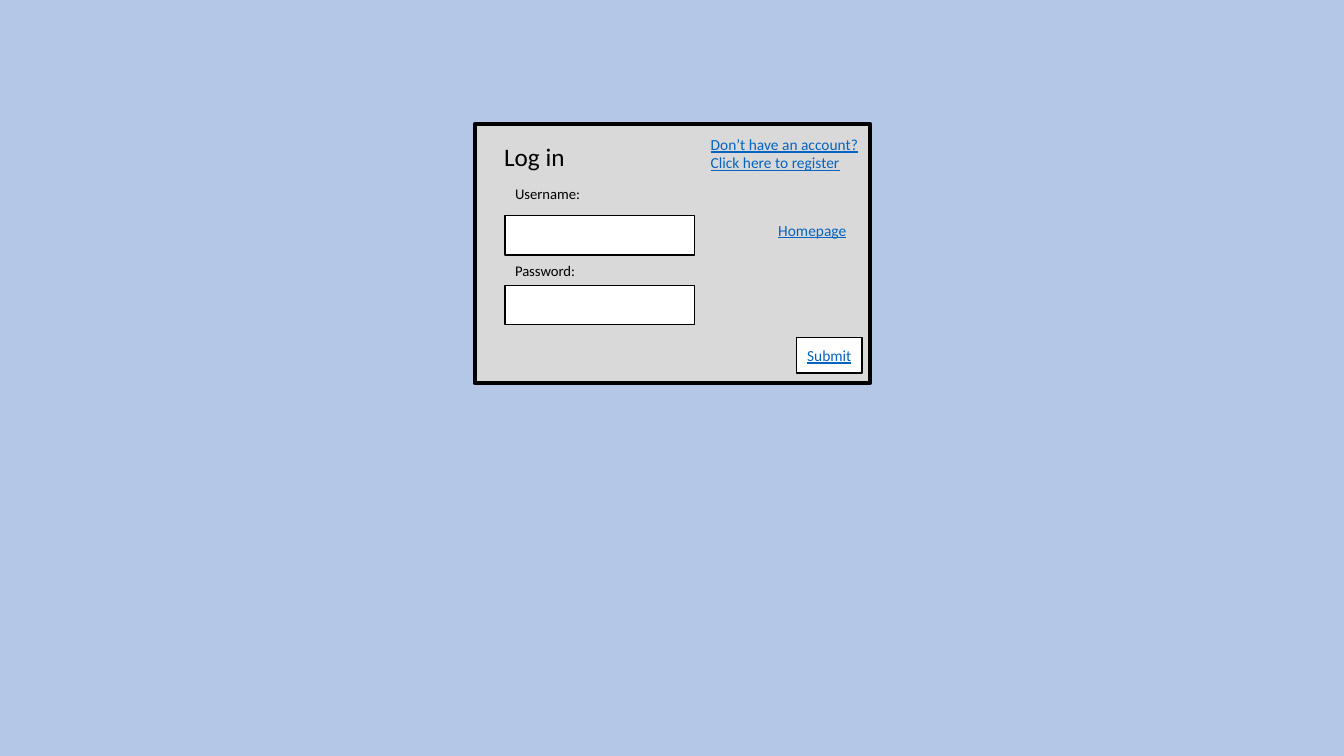
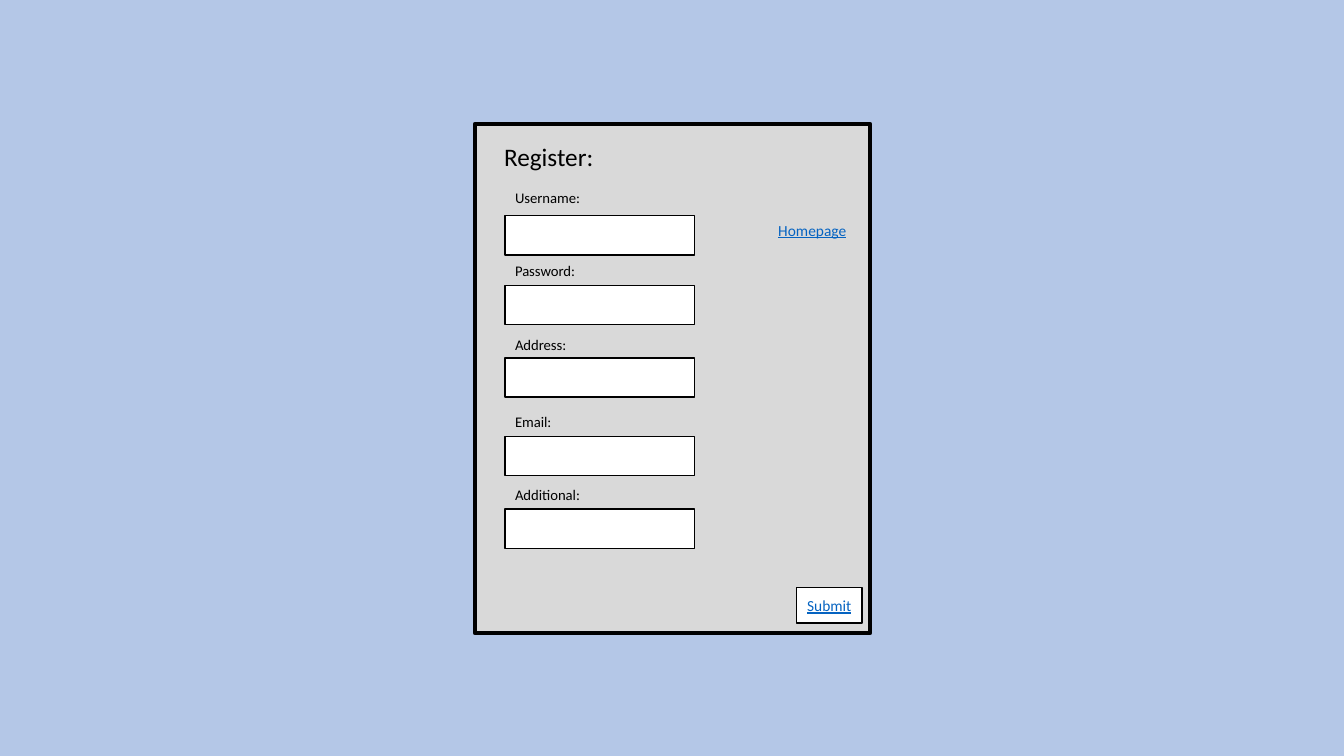
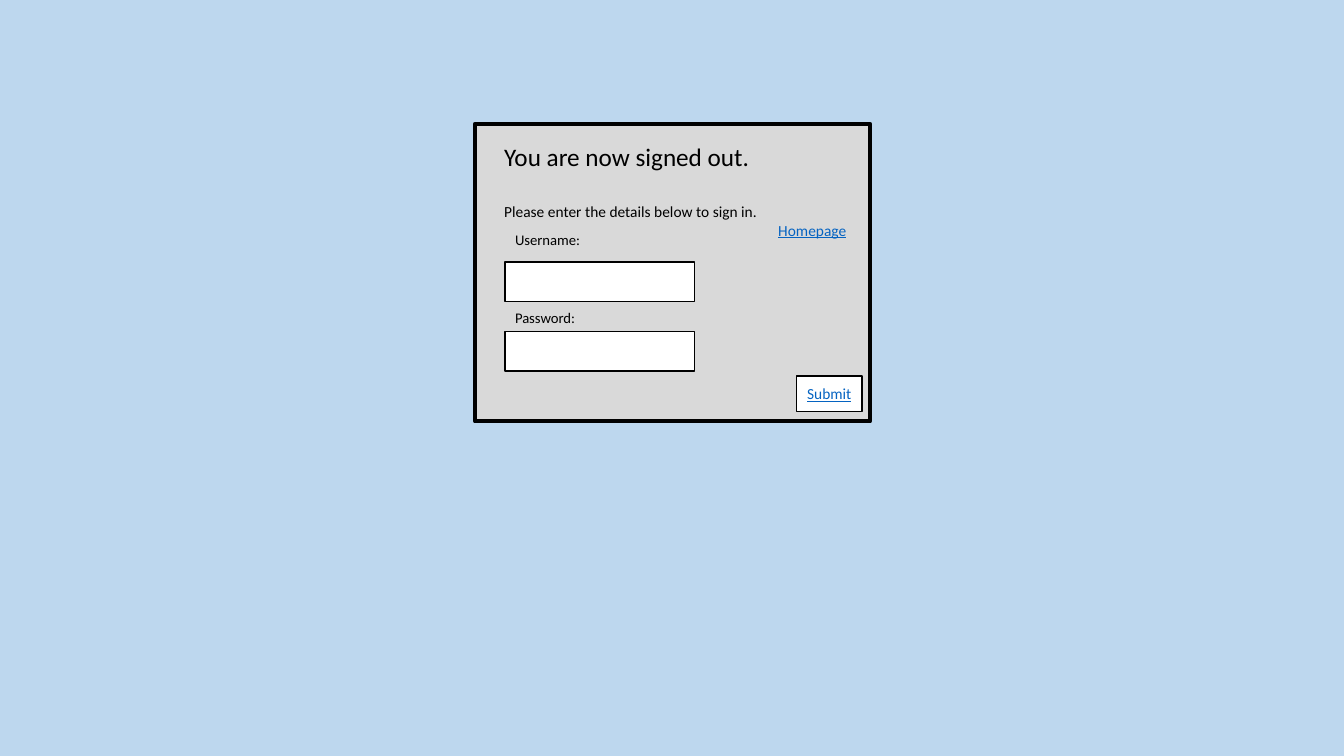
"""Build three account screens: log in, register and signed out."""
import dataclasses

import pptx
import pptx.dml.color
import pptx.enum.shapes
import pptx.enum.text
import pptx.util

Inches = pptx.util.Inches
Pt = pptx.util.Pt
Align = pptx.enum.text.PP_ALIGN
Anchor = pptx.enum.text.MSO_ANCHOR
Fit = pptx.enum.text.MSO_AUTO_SIZE


@dataclasses.dataclass(frozen=True)
class Theme:
    panel: str = "D9D9D9"
    box: str = "FFFFFF"
    ink: str = "000000"
    link: str = "0563C1"
    font: str = "Calibri"
    heading: float = 18
    body: float = 11
    label: float = 10.5


theme = Theme()


def add_box(shapes, area, fill, outline):
    box = shapes.add_shape(
        pptx.enum.shapes.MSO_SHAPE.RECTANGLE, *map(Inches, area))
    box.shadow.inherit = False
    box.fill.solid()
    box.fill.fore_color.rgb = pptx.dml.color.RGBColor.from_string(fill)
    box.line.color.rgb = pptx.dml.color.RGBColor.from_string(theme.ink)
    box.line.width = Pt(outline)
    return box


def write(holder, lines, size, color=theme.ink, underline=False,
          align=Align.LEFT, anchor=Anchor.TOP, fit=Fit.SHAPE_TO_FIT_TEXT):
    frame = holder.text_frame
    frame.text = "\n".join(lines)
    frame_format = {
        "word_wrap": False, "auto_size": fit, "vertical_anchor": anchor,
        "margin_left": Inches(0.1), "margin_right": Inches(0.1),
        "margin_top": Inches(0.05), "margin_bottom": Inches(0.05),
    }
    for name, value in frame_format.items():
        setattr(frame, name, value)
    run_format = {"name": theme.font, "size": Pt(size), "underline": underline}
    for paragraph in frame.paragraphs:
        paragraph.alignment = align
        for run in paragraph.runs:
            for name, value in run_format.items():
                setattr(run.font, name, value)
            run.font.color.rgb = pptx.dml.color.RGBColor.from_string(color)
    return frame


link_style = {"size": theme.body, "color": theme.link, "underline": True}
label_widths = {"Username:": 0.86, "Password:": 0.81, "Address:": 0.72,
                "Email:": 0.57, "Additional:": 0.85}
panel_left, panel_top, panel_width = 4.71, 1.23, 3.92
field_left = 5.01

screens = [
    {
        "heading": ["Log in"], "heading_size": (0.81, 0.4),
        "background": "B4C7E7", "panel_height": 2.57,
        "register_link": ["Don\u2019t have an account?",
                          "Click here to register"],
        "fields": [("Username:", 1.78, 2.14), ("Password:", 2.55, 2.83)],
    },
    {
        "heading": ["Register:"], "heading_size": (1.1, 0.4),
        "background": "B4C7E7", "panel_height": 5.05,
        "fields": [("Username:", 1.82, 2.14), ("Password:", 2.55, 2.83),
                   ("Address:", 3.28, 3.55), ("Email:", 4.05, 4.33),
                   ("Additional:", 4.77, 5.05)],
    },
    {
        "heading": ["You are now signed out.",
                    "Please enter the details below to sign in."],
        "heading_size": (2.73, 0.89),
        "background": "BDD7EE", "panel_height": 2.95,
        "fields": [("Username:", 2.24, 2.6), ("Password:", 3.01, 3.29)],
    },
]

deck = pptx.Presentation()
deck.slide_width = Inches(13.33)
deck.slide_height = Inches(7.5)

for screen in screens:
    slide = deck.slides.add_slide(deck.slide_layouts[5])
    shapes = slide.shapes
    slide.background.fill.solid()
    slide.background.fill.fore_color.rgb = (
        pptx.dml.color.RGBColor.from_string(screen["background"]))

    heading = shapes.title
    panel = add_box(
        shapes, (panel_left, panel_top, panel_width, screen["panel_height"]),
        theme.panel, 3)
    heading.element.addprevious(panel.element)

    width, height = screen["heading_size"]
    place = {"left": 4.9, "top": 1.35, "width": width, "height": height}
    for name, value in place.items():
        setattr(heading, name, Inches(value))
    heading_frame = write(heading, screen["heading"], theme.heading)
    for instruction in heading_frame.paragraphs[1:]:
        instruction.space_before = Pt(22)
        for run in instruction.runs:
            run.font.size = Pt(theme.body)

    for label, label_top, entry_top in screen["fields"]:
        add_box(shapes, (field_left, entry_top, 1.88, 0.39), theme.box, 1)
        caption = shapes.add_textbox(
            *map(Inches, (field_left, label_top, label_widths[label], 0.28)))
        write(caption, [label], theme.label)

    if "register_link" in screen:
        register = shapes.add_textbox(*map(Inches, (6.95, 1.29, 1.68, 0.47)))
        write(register, screen["register_link"], **link_style)

    homepage = shapes.add_textbox(*map(Inches, (7.62, 2.14, 0.88, 0.29)))
    write(homepage, ["Homepage"], **link_style)

    submit_top = panel_top + screen["panel_height"] - 0.45
    submit = add_box(shapes, (7.9, submit_top, 0.65, 0.35), theme.box, 1)
    write(submit, ["Submit"], align=Align.CENTER, anchor=Anchor.MIDDLE,
          fit=Fit.NONE, **link_style)

deck.save("out.pptx")
